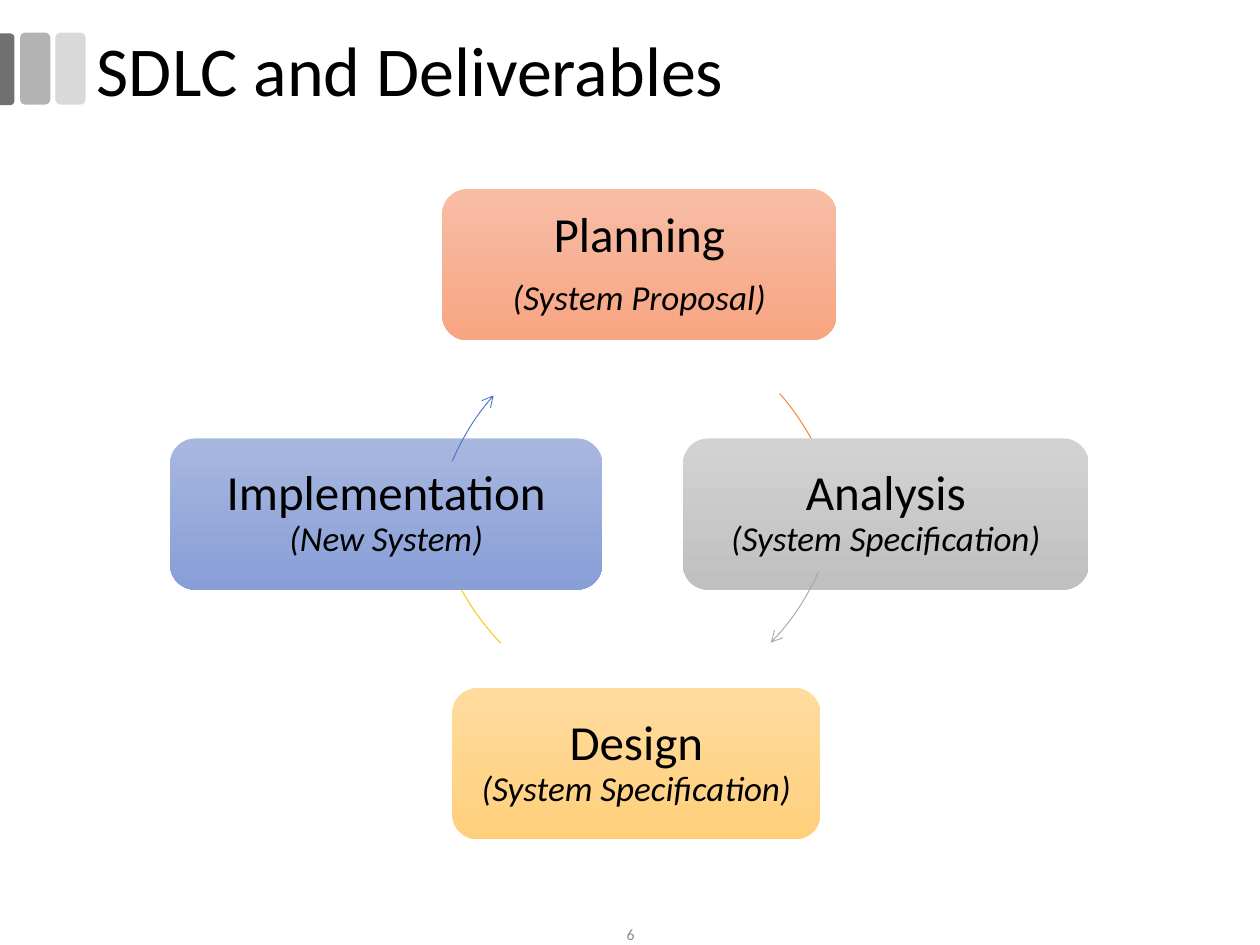
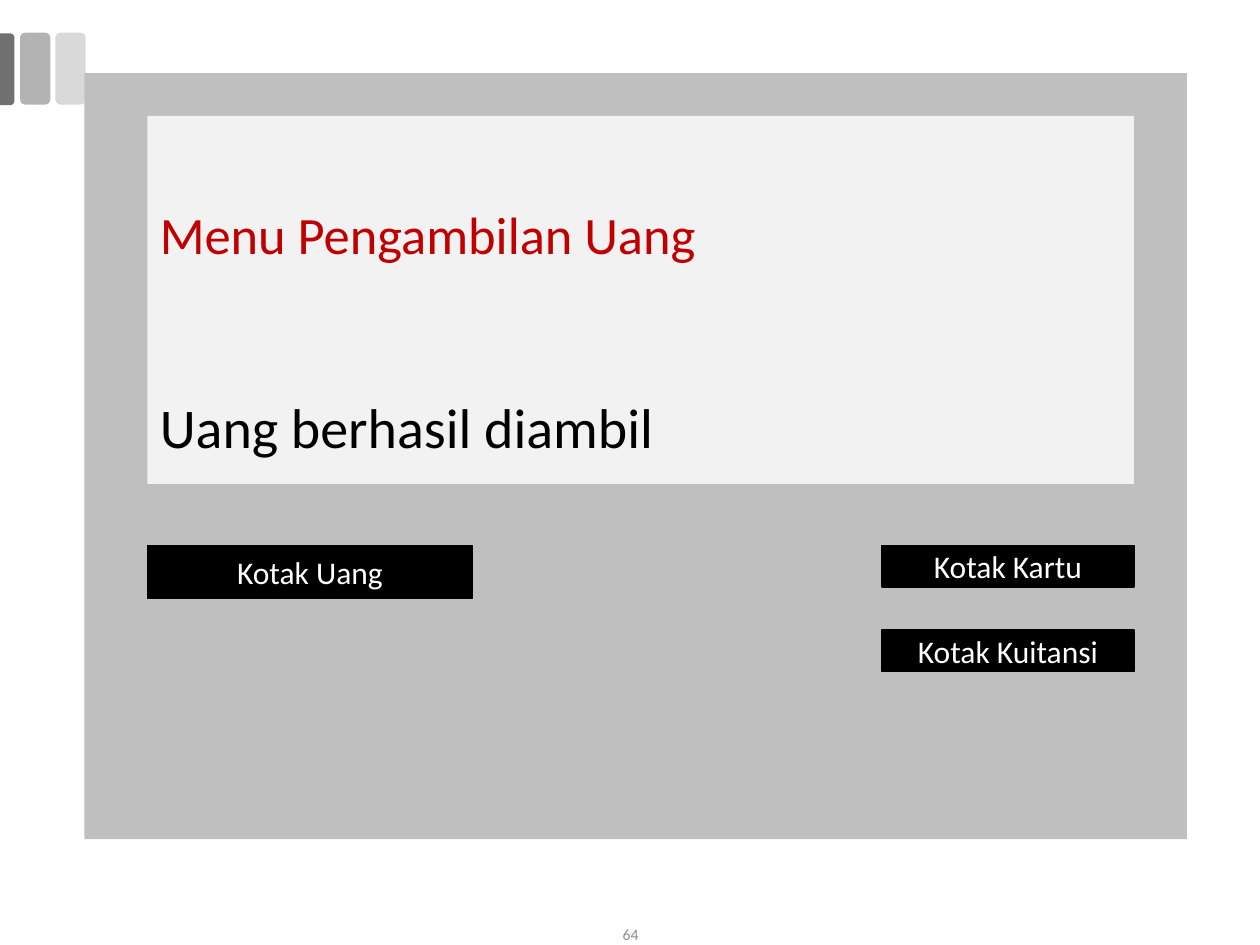
"""Build two slides: a system life cycle and a cash machine screen."""
import dataclasses
import typing

import lxml.etree
import pptx
import pptx.dml.color
import pptx.enum.shapes
import pptx.enum.text
import pptx.oxml.ns
import pptx.util

Inches = pptx.util.Inches
Pt = pptx.util.Pt
Kind = pptx.enum.shapes.MSO_SHAPE
Align = pptx.enum.text.PP_ALIGN
Anchor = pptx.enum.text.MSO_ANCHOR
Place = tuple[float, float, float, float]

FONT = "Calibri"
BLACK, WHITE, PAPER = "000000", "FFFFFF", "F2F2F2"
PANEL, RED, FAINT = "BFBFBF", "C00000", "8C8C8C"


@dataclasses.dataclass
class Tab:
    """A corner tab found on each slide."""
    place: Place
    fill: str
    kind: typing.Any = Kind.ROUNDED_RECTANGLE
    turn: float = 0


@dataclasses.dataclass
class Phase:
    """A phase box and the arc that leaves it."""
    name: str
    result: str
    left: float
    top: float
    width: float
    shade: tuple[str, str]
    line: str
    hub: tuple[float, float]
    sweep: tuple[float, float]
    split: bool = False


@dataclasses.dataclass
class Slot:
    """A black slot on the machine."""
    label: str
    place: Place


TABS = [
    Tab((0.44, 0.26, 0.24, 0.57), "D9D9D9"),
    Tab((0.16, 0.26, 0.24, 0.57), "B3B3B3"),
    Tab((-0.23, 0.49, 0.57, 0.12), "707070", Kind.ROUND_2_SAME_RECTANGLE, 90),
]
TALL, ROUND = 1.2, 1.98
PHASES = [
    Phase("Planning", "(System Proposal)", 3.51, 1.5, 3.13,
          ("F7BDA5", "F8A582"), "ED7D31", (4.7, 4.43), (318.7, 336.4), True),
    Phase("Analysis", "(System Specification)", 5.42, 3.48, 3.22,
          ("D2D2D2", "C0C0C0"), "A5A5A5", (4.69, 3.73), (24.1, 43.8)),
    Phase("Design", "(System Specification)", 3.59, 5.46, 2.92,
          ("FFDB9E", "FFD07C"), "FFC000", (5.4, 3.73), (136, 155.8)),
    Phase("Implementation", "(New System)", 1.35, 3.48, 3.43,
          ("A8B7DF", "889ED7"), "4472C4", (5.41, 4.44), (203.2, 221.1)),
]
SLOTS = [
    Slot("Kotak Uang", (1.17, 4.33, 2.58, 0.42)),
    Slot("Kotak Kartu", (7, 4.33, 2, 0.33)),
    Slot("Kotak Kuitansi", (7, 5, 2, 0.33)),
]


def paint(color: typing.Any, code: str) -> None:
    """Set a colour from a hex string."""
    color.rgb = pptx.dml.color.RGBColor.from_string(code)


def write(para: typing.Any, text: str, size: float, code: str = BLACK,
          slant: bool = False) -> None:
    """Add one run to a paragraph."""
    run = para.add_run()
    run.text = text
    run.font.name, run.font.size = FONT, Pt(size)
    if slant:
        run.font.italic = True
    paint(run.font.color, code)


def draw(slide: typing.Any, place: Place, fill: str | None = None,
         kind: typing.Any = Kind.RECTANGLE, line: str | None = None,
         width: float = 1) -> typing.Any:
    """Add a flat shape with an optional fill and line."""
    shape = slide.shapes.add_shape(kind, *map(Inches, place))
    shape.shadow.inherit = False
    if fill:
        shape.fill.solid()
        paint(shape.fill.fore_color, fill)
    else:
        shape.fill.background()
    if line:
        paint(shape.line.color, line)
        shape.line.width = Pt(width)
    else:
        shape.line.fill.background()
    return shape


def label(slide: typing.Any, place: Place, text: str, size: float,
          code: str = BLACK, align: typing.Any = Align.LEFT) -> typing.Any:
    """Add a text box with one line and return its paragraph."""
    frame = slide.shapes.add_textbox(*map(Inches, place)).text_frame
    frame.word_wrap = True
    frame.vertical_anchor = Anchor.MIDDLE
    para = frame.paragraphs[0]
    para.alignment = align
    write(para, text, size, code)
    return para


def start(deck: typing.Any, page: str) -> typing.Any:
    """Add a slide with the corner tabs and page number."""
    slide = deck.slides.add_slide(deck.slide_layouts[6])
    for tab in TABS:
        shape = draw(slide, tab.place, tab.fill, tab.kind)
        shape.rotation = tab.turn
        if tab.turn:
            shape.adjustments[0] = 0.29
    label(slide, (3.88, 7.33, 2.25, 0.17), page, 9, FAINT, Align.CENTER)
    return slide


def center(para: typing.Any, after: float) -> None:
    """Give a phase paragraph its spacing."""
    para.alignment = Align.CENTER
    para.line_spacing = 0.9
    para.space_after = Pt(after)


def stage(slide: typing.Any, phase: Phase) -> None:
    """Draw a phase box with its name and result."""
    place = (phase.left, phase.top, phase.width, TALL)
    box = draw(slide, place, kind=Kind.ROUNDED_RECTANGLE)
    box.fill.gradient()
    box.fill.gradient_angle = 270
    for stop, code in zip(box.fill.gradient_stops, phase.shade):
        paint(stop.color, code)
    frame = box.text_frame
    frame.word_wrap = True
    frame.vertical_anchor = Anchor.MIDDLE
    frame.margin_left = frame.margin_right = Inches(0.1)
    para = frame.paragraphs[0]
    center(para, 9.8)
    write(para, phase.name, 28)
    if phase.split:
        para = frame.add_paragraph()
        center(para, 7)
    else:
        para.add_line_break()
    write(para, phase.result, 20, slant=True)


def curve(slide: typing.Any, phase: Phase) -> None:
    """Draw the arc with an arrowhead to the next phase."""
    left, top = (mid - ROUND for mid in phase.hub)
    arc = draw(slide, (left, top, 2 * ROUND, 2 * ROUND), kind=Kind.ARC,
               line=phase.line, width=0.5)
    for index, angle in enumerate(phase.sweep):
        arc.adjustments[index] = angle * 0.6
    line = next(arc.element.iter(pptx.oxml.ns.qn("a:ln")))
    lxml.etree.SubElement(line, pptx.oxml.ns.qn("a:tailEnd"), type="arrow")


def cycle(deck: typing.Any) -> None:
    """Build the life cycle slide."""
    slide = start(deck, "6")
    label(slide, (0.67, 0.17, 9.25, 0.83), "SDLC and Deliverables",
          40).line_spacing = 0.9
    for phase in PHASES:
        stage(slide, phase)
        curve(slide, phase)


def screen(deck: typing.Any) -> None:
    """Build the cash machine slide."""
    slide = start(deck, "64")
    draw(slide, (0.67, 0.58, 8.75, 6.08), PANEL)
    frame = draw(slide, (1.17, 0.92, 7.83, 2.92), PAPER).text_frame
    frame.word_wrap = True
    frame.vertical_anchor = Anchor.TOP
    frame.margin_top = Inches(0.68)
    head, note = frame.paragraphs[0], frame.add_paragraph()
    head.alignment = note.alignment = Align.LEFT
    note.space_before = Pt(73)
    write(head, "Menu Pengambilan Uang", 30, RED)
    write(note, "Uang berhasil diambil", 32)
    for slot in SLOTS:
        frame = draw(slide, slot.place, BLACK, line=BLACK).text_frame
        frame.word_wrap = True
        frame.vertical_anchor = Anchor.MIDDLE
        frame.paragraphs[0].alignment = Align.CENTER
        write(frame.paragraphs[0], slot.label, 18, WHITE)


def main() -> None:
    """Build and save the deck."""
    deck = pptx.Presentation()
    deck.slide_width, deck.slide_height = Inches(10), Inches(7.5)
    cycle(deck)
    screen(deck)
    deck.save("out.pptx")


if __name__ == "__main__":
    main()
